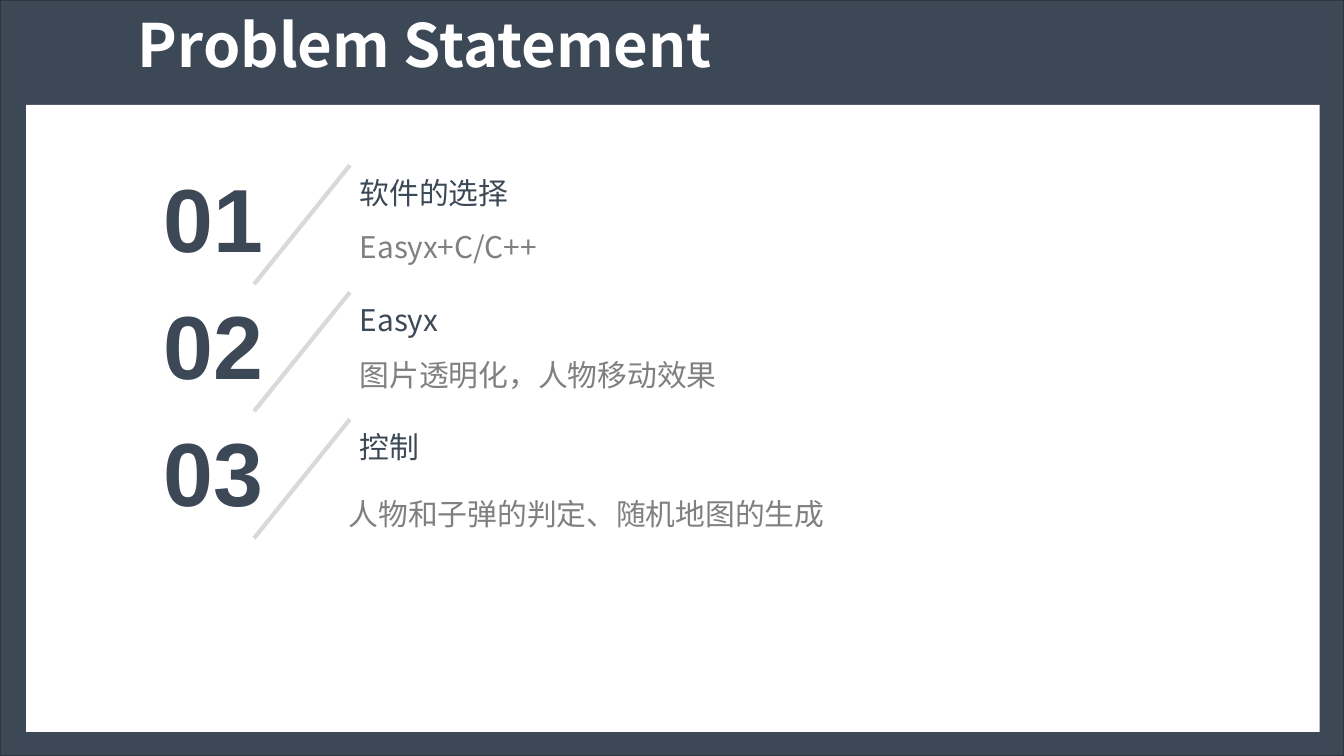
from lxml import etree
from pptx import Presentation
from pptx import util as u
from pptx.dml.color import RGBColor
from pptx.enum import shapes, text
from pptx.oxml.ns import qn

COLORS = {
    "slate": "3C4856",
    "edge": "2C3540",
    "white": "FFFFFF",
    "slash": "D9D9D9",
    "gray": "808080",
}
SANS = "Noto Sans CJK SC"


def color(name):
    return RGBColor.from_string(COLORS[name])


def add_text(page, words, left, top, width, height, size, ink, font=SANS,
             bold=False, align=text.PP_ALIGN.LEFT, spacing=1.0):
    box = page.shapes.add_textbox(*map(u.Inches, (left, top, width, height)))
    frame = box.text_frame
    frame.word_wrap = True
    frame.vertical_anchor = text.MSO_ANCHOR.MIDDLE
    para = frame.paragraphs[0]
    para.alignment = align
    para.line_spacing = spacing
    span = para.add_run()
    span.text = words
    span.font.name = font
    span.font.size = u.Pt(size)
    span.font.bold = bold
    span.font.color.rgb = color(ink)
    # Chinese characters take their font from a:ea
    east_asian = etree.SubElement(span.font._element, qn("a:ea"))
    east_asian.set("typeface", font)


deck = Presentation()
deck.slide_width = u.Inches(13.33)
deck.slide_height = u.Inches(7.5)
page = deck.slides.add_slide(deck.slide_layouts[6])

# Dark frame and white panel
panels = [
    ((0, 0, 13.33, 7.5), "slate", "edge"),
    ((0.26, 1.04, 12.83, 6.22), "white", None),
]
for bounds, fill, edge in panels:
    panel = page.shapes.add_shape(shapes.MSO_SHAPE.RECTANGLE, *map(u.Inches, bounds))
    panel.shadow.inherit = False
    panel.fill.solid()
    panel.fill.fore_color.rgb = color(fill)
    if edge:
        panel.line.color.rgb = color(edge)
        panel.line.width = u.Pt(1)
    else:
        panel.line.fill.background()

# Title
add_text(page, "Problem Statement", 1.27, -0.02, 11.5, 1, 42.7, "white",
         bold=True, spacing=0.9)

# Numbered topics: heading, detail, then left, offset and height of the detail
topics = [
    ("软件的选择", "Easyx+C/C++", 3.47, 0.43, 0.64),
    ("Easyx", "图片透明化，人物移动效果", 3.47, 0.43, 0.66),
    ("控制", "人物和子弹的判定、随机地图的生成", 3.36, -0.46, 2.68),
]
for index, (heading, detail, detail_left, offset, detail_height) in enumerate(topics):
    top = 1.64 + 1.26 * index

    slash = page.shapes.add_connector(
        shapes.MSO_CONNECTOR.STRAIGHT,
        u.Inches(3.47), u.Inches(top), u.Inches(2.52), u.Inches(top + 1.18))
    slash.line.color.rgb = color("slash")
    slash.line.width = u.Pt(3)
    etree.SubElement(slash._element.spPr, qn("a:effectLst"))

    add_text(page, f"{index + 1:02}", 1.42, top, 1.39, 1.01, 64, "slate",
             font="Arial", bold=True, align=text.PP_ALIGN.CENTER)
    add_text(page, heading, 3.47, top + 0.09, 8.55, 0.37, 21.3, "slate")
    add_text(page, detail, detail_left, top + offset, 8.55, detail_height, 21.3,
             "gray", align=text.PP_ALIGN.JUSTIFY, spacing=1.3)

deck.save("out.pptx")
